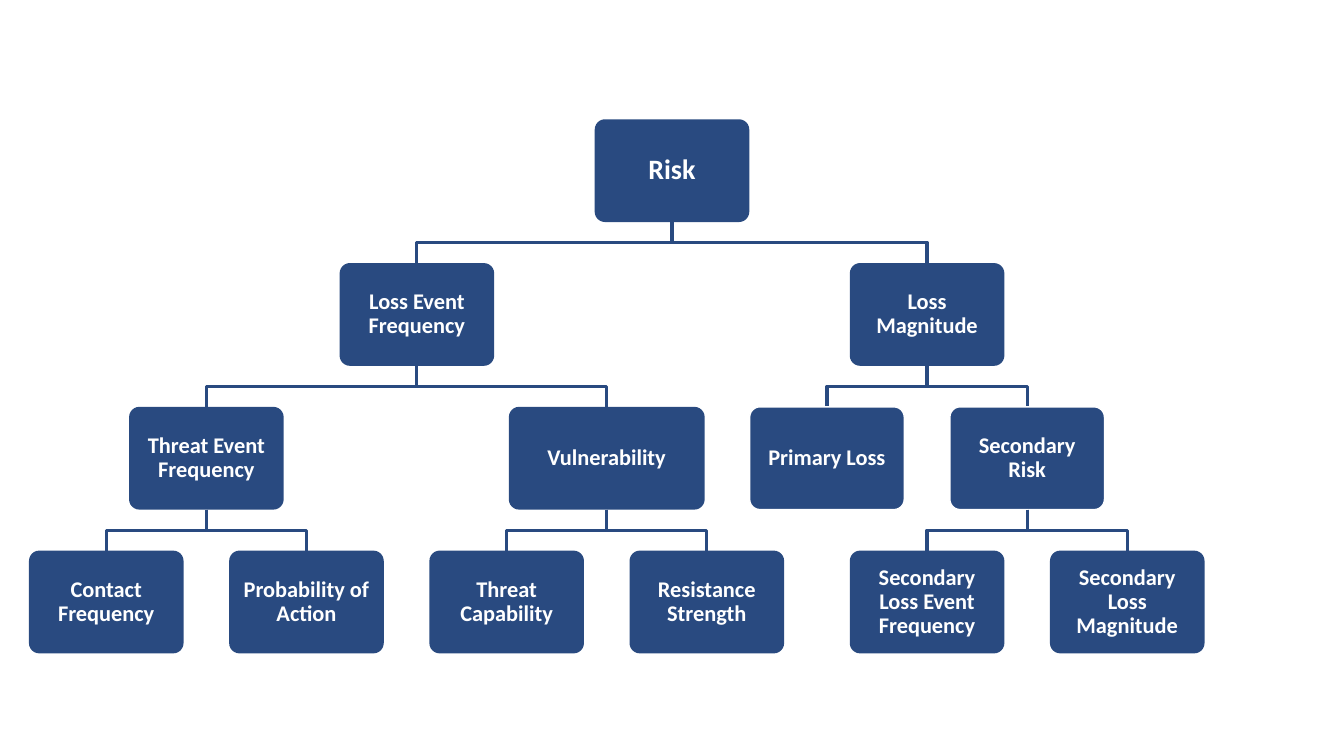
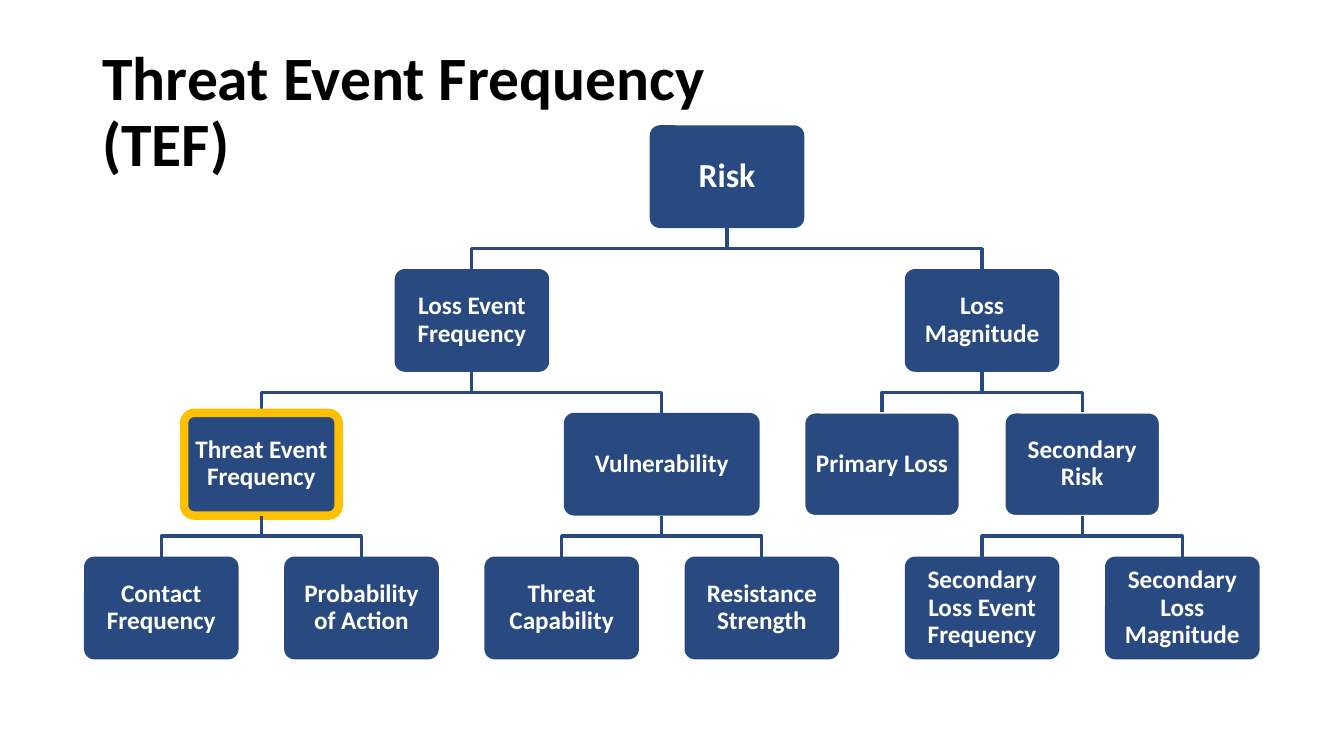
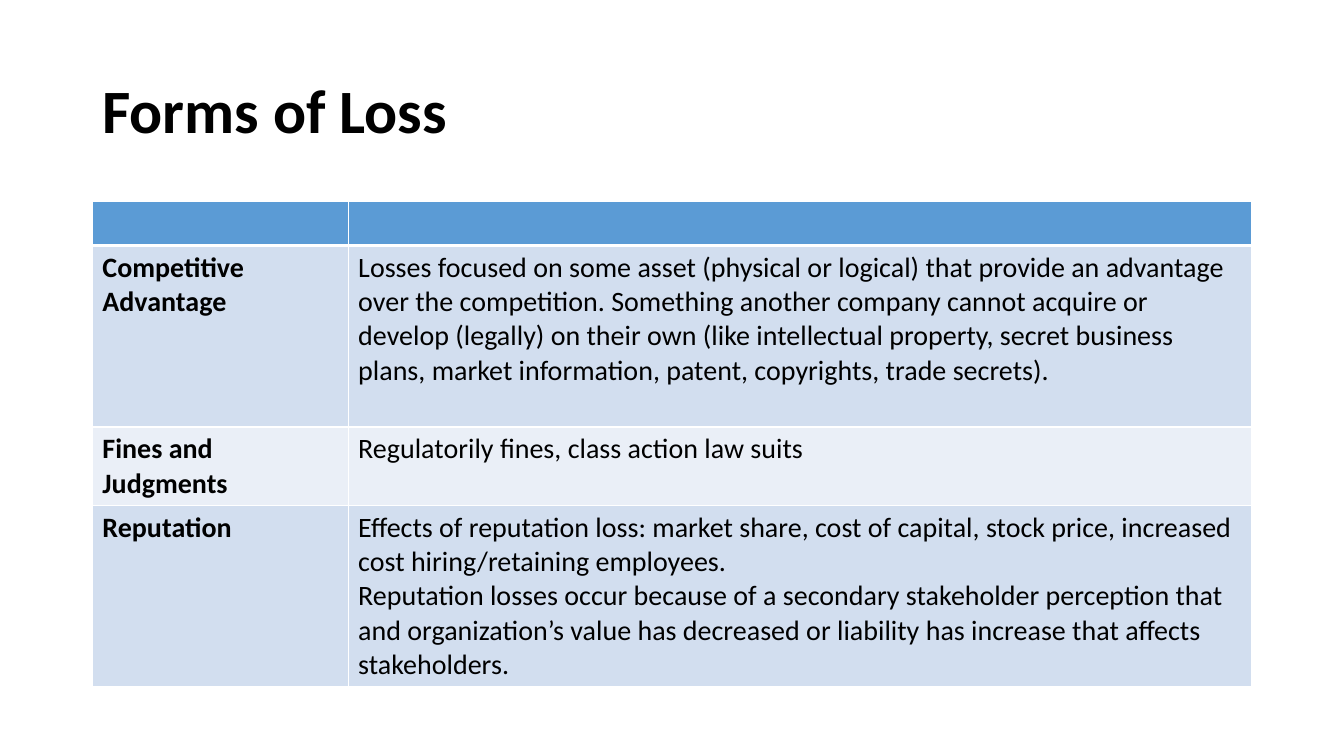
from pptx import Presentation
from pptx.dml.color import RGBColor
from pptx.enum.shapes import MSO_SHAPE
from pptx.enum.text import MSO_ANCHOR, PP_ALIGN
from pptx.oxml import parse_xml
from pptx.oxml.ns import nsdecls
from pptx.util import Pt

FONT = "Calibri"
NAVY = RGBColor(0x29, 0x4A, 0x80)
GOLD = RGBColor(0xFF, 0xC0, 0x00)
WHITE = RGBColor(0xFF, 0xFF, 0xFF)
BLACK = RGBColor(0x00, 0x00, 0x00)
HEADER_BLUE = RGBColor(0x5B, 0x9B, 0xD5)
BANDS = [RGBColor(0xD2, 0xDE, 0xEF), RGBColor(0xEA, 0xEF, 0xF7)]

# A node is (label, children); a leaf has its column in place of children.
RISK_TREE = ("Risk", [
    ("Loss Event Frequency", [
        ("Threat Event Frequency", [
            ("Contact Frequency", 0),
            ("Probability of Action", 1),
        ]),
        ("Vulnerability", [
            ("Threat Capability", 2),
            ("Resistance Strength", 3),
        ]),
    ]),
    ("Loss Magnitude", [
        ("Primary Loss", 3.6),
        ("Secondary Risk", [
            ("Secondary Loss Event Frequency", 4.1),
            ("Secondary Loss Magnitude", 5.1),
        ]),
    ]),
])
OUTLINES = {"Primary Loss": (WHITE, 1), "Secondary Risk": (WHITE, 1)}
HIGHLIGHT = {"Threat Event Frequency": (GOLD, 6)}

BOX_W, BOX_H = 110.4, 73.4
WIDTHS = {"Vulnerability": 139.9}
COLUMN_PITCH, LEVEL_PITCH = 143, 102.7

LOSS_FORMS = [
    ("Competitive Advantage", [
        "Losses focused on some asset (physical or logical) that provide an advantage "
        "over the competition. Something another company cannot acquire or develop "
        "(legally) on their own (like intellectual property, secret business plans, "
        "market information, patent, copyrights, trade secrets)."]),
    ("Fines and Judgments", ["Regulatorily fines, class action law suits"]),
    ("Reputation", [
        "Effects of reputation loss: market share, cost of capital, stock price, "
        "increased cost hiring/retaining employees.",
        "Reputation losses occur because of a secondary stakeholder perception that "
        "and organization’s value has decreased or liability has increase that "
        "affects stakeholders."]),
]
TABLE_COLS = [182.7, 645.3]
TABLE_ROWS = [31.2, 129.6, 56.2, 129.6]


def style(p, size, color, bold=True):
    f = p.font
    f.name, f.size, f.bold = FONT, Pt(size), bold
    f.color.rgb = color


def add_title(slide, text):
    tf = slide.shapes.add_textbox(Pt(66), Pt(28.75), Pt(828), Pt(104.4)).text_frame
    tf.word_wrap = True
    tf.vertical_anchor = MSO_ANCHOR.MIDDLE
    p = tf.paragraphs[0]
    p.text = text
    p.line_spacing = 0.9
    style(p, 44, BLACK)


def box_width(node):
    return WIDTHS.get(node[0], BOX_W)


def center_x(node):
    """Centre of a box from the first column; a parent spans its children's boxes."""
    children = node[1]
    if not isinstance(children, list):
        return children * COLUMN_PITCH
    first, last = children[0], children[-1]
    left = center_x(first) - box_width(first) / 2
    right = center_x(last) + box_width(last) / 2
    return (left + right) / 2


def add_box(slide, label, cx, top, width, size, outline):
    sp = slide.shapes.add_shape(MSO_SHAPE.ROUNDED_RECTANGLE, Pt(cx - width / 2),
                                Pt(top), Pt(width), Pt(BOX_H))
    sp.adjustments[0] = 0.1
    sp.shadow.inherit = False
    sp.fill.solid()
    sp.fill.fore_color.rgb = NAVY
    if outline:
        sp.line.color.rgb, sp.line.width = outline[0], Pt(outline[1])
    else:
        sp.line.fill.background()
    tf = sp.text_frame
    tf.word_wrap = True
    tf.vertical_anchor = MSO_ANCHOR.MIDDLE
    tf.margin_left = tf.margin_right = tf.margin_top = tf.margin_bottom = Pt(4.8)
    p = tf.paragraphs[0]
    p.text = label
    p.alignment = PP_ALIGN.CENTER
    p.line_spacing = 0.9
    style(p, size, WHITE)


def add_link(slide, x1, y1, x2, y2):
    mid = (y1 + y2) / 2
    builder = slide.shapes.build_freeform(Pt(x1), Pt(y1))
    builder.add_line_segments(
        [(Pt(x), Pt(y)) for x, y in [(x1, mid), (x2, mid), (x2, y2)]], close=False)
    sp = builder.convert_to_shape()
    sp.shadow.inherit = False
    sp.fill.background()
    sp.line.color.rgb, sp.line.width = NAVY, Pt(2.25)


def add_tree(slide, node, left, top, sizes, outlines):
    """Draw a node and all below it; sizes are the root's and the others' text sizes."""
    label, children = node
    cx = left + center_x(node)
    add_box(slide, label, cx, top, box_width(node), sizes[0], outlines.get(label))
    if isinstance(children, list):
        child_top = top + LEVEL_PITCH
        for child in children:
            add_link(slide, cx, top + BOX_H, left + center_x(child), child_top)
            add_tree(slide, child, left, child_top, (sizes[1], sizes[1]), outlines)


def set_borders(cell, top, bottom):
    tcPr = cell._tc.get_or_add_tcPr()
    sides = [("lnL", 1), ("lnR", 1), ("lnT", top), ("lnB", bottom)]
    for i, (tag, width) in enumerate(sides):
        tcPr.insert(i, parse_xml(
            f'<a:{tag} {nsdecls("a")} w="{Pt(width)}"><a:solidFill>'
            f'<a:srgbClr val="{WHITE}"/></a:solidFill></a:{tag}>'))


def add_loss_table(slide):
    table = slide.shapes.add_table(len(TABLE_ROWS), len(TABLE_COLS), Pt(66), Pt(144.2),
                                   Pt(sum(TABLE_COLS)), Pt(sum(TABLE_ROWS))).table
    for column, width in zip(table.columns, TABLE_COLS):
        column.width = Pt(width)
    for row, height in zip(table.rows, TABLE_ROWS):
        row.height = Pt(height)
    rows = [([], [])] + [([name], effects) for name, effects in LOSS_FORMS]
    for r, row in enumerate(rows):
        for c, lines in enumerate(row):
            cell = table.cell(r, c)
            cell.fill.solid()
            cell.fill.fore_color.rgb = BANDS[(r - 1) % 2] if r else HEADER_BLUE
            set_borders(cell, 3 if r == 1 else 1, 3 if r == 0 else 1)
            if lines:
                cell.text_frame.text = "\n".join(lines)
                for p in cell.text_frame.paragraphs:
                    style(p, 20, BLACK, bold=c == 0)


def main():
    prs = Presentation()
    prs.slide_width, prs.slide_height = Pt(960), Pt(540)
    overview, frequency, losses = [
        prs.slides.add_slide(prs.slide_layouts[6]) for _ in range(3)]

    add_tree(overview, RISK_TREE, 75.9, 85.2, (20, 16), OUTLINES)

    add_tree(frequency, RISK_TREE, 115.2, 89.5, (24, 18), {**OUTLINES, **HIGHLIGHT})
    add_title(frequency, "Threat Event Frequency\n(TEF)")

    add_title(losses, "Forms of Loss")
    add_loss_table(losses)
    prs.save("out.pptx")


if __name__ == "__main__":
    main()
